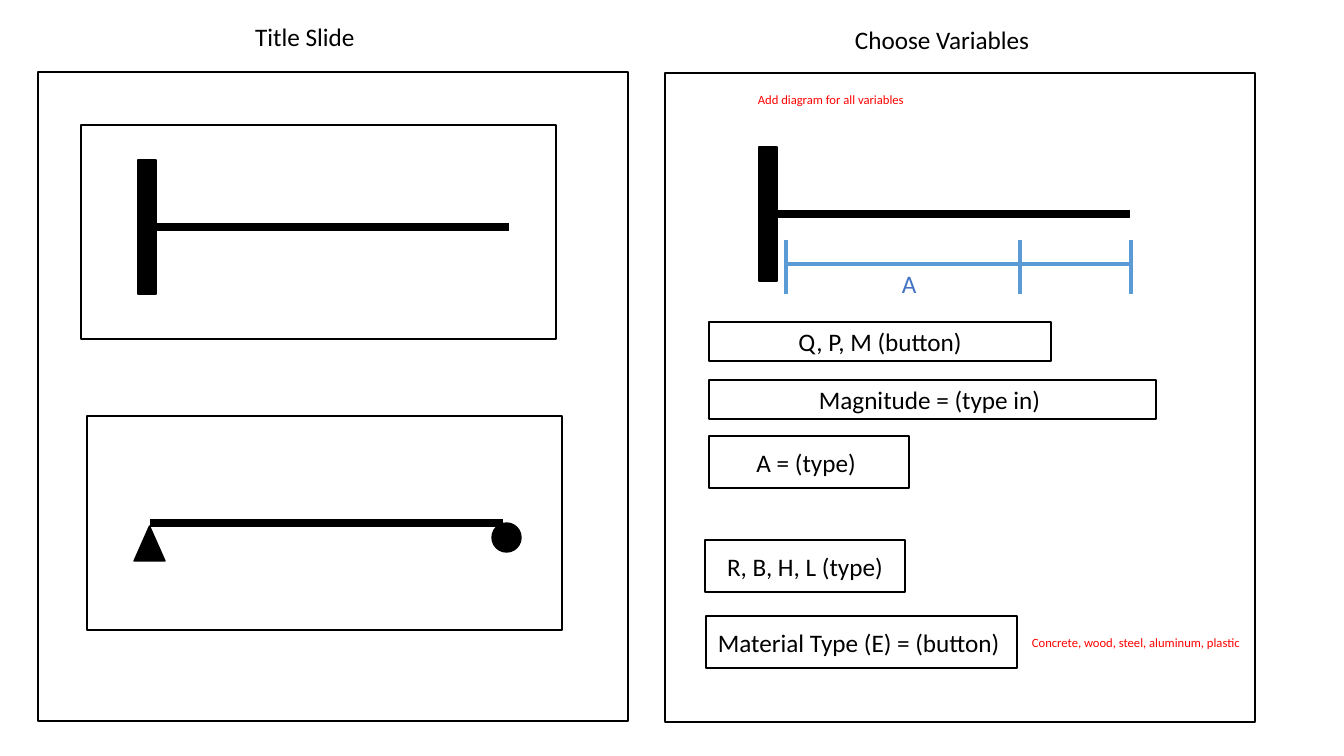
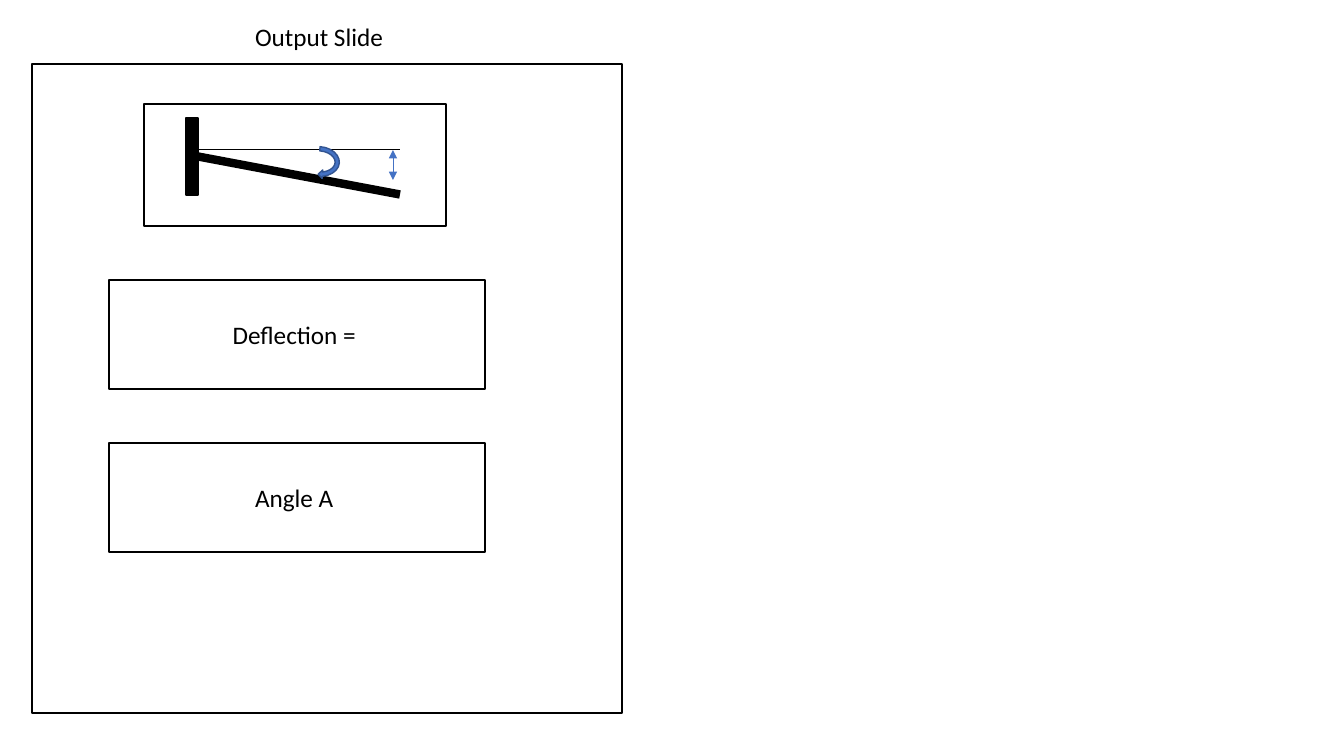
from lxml import etree
from pptx import Presentation
from pptx.dml.color import RGBColor
from pptx.enum.shapes import MSO_CONNECTOR, MSO_SHAPE
from pptx.enum.text import MSO_ANCHOR, MSO_AUTO_SIZE, PP_ALIGN
from pptx.oxml.ns import qn
from pptx.util import Emu, Pt

RECTANGLE = MSO_SHAPE.RECTANGLE
TRIANGLE = MSO_SHAPE.ISOSCELES_TRIANGLE
OVAL = MSO_SHAPE.OVAL
CIRCULAR_ARROW = MSO_SHAPE.CIRCULAR_ARROW
STRAIGHT = MSO_CONNECTOR.STRAIGHT
LEFT, CENTER = PP_ALIGN.LEFT, PP_ALIGN.CENTER
TOP, MIDDLE = MSO_ANCHOR.TOP, MSO_ANCHOR.MIDDLE
NO_FIT = MSO_AUTO_SIZE.NONE

SLIDE_WIDTH, SLIDE_HEIGHT = 1344, 756
PIXELS_PER_INCH = 100.8
TITLE_ONLY = 5
FONT = "Calibri"
BLACK, WHITE, RED = "000000", "FFFFFF", "FF0000"
BLUE, DARK_BLUE, LIGHT_BLUE = "4472C4", "325491", "5B9BD5"
PANEL_SIZE = (590, 649)
HEADING_SIZE = (310, 40)
FRAME_SIZE = (475, 214)
WALL_SIZE = (18, 134)
SPAN = 353
BEAM_WEIGHT = 6


def px(length):
    return Emu(round(length * 914400 / PIXELS_PER_INCH))


def color(value):
    return RGBColor.from_string(value)


def write(shape, text, size=18, ink=BLACK, align=LEFT, anchor=TOP):
    frame = shape.text_frame
    frame.word_wrap = True
    frame.auto_size = NO_FIT
    frame.vertical_anchor = anchor
    paragraph = frame.paragraphs[0]
    paragraph.alignment = align
    run = paragraph.add_run()
    run.text = text
    run.font.name = FONT
    run.font.size = Pt(size)
    run.font.color.rgb = color(ink)


def add_label(slide, left, top, width, height, text, **text_format):
    label = slide.shapes.add_textbox(px(left), px(top), px(width), px(height))
    write(label, text, **text_format)


def add_form(slide, left, top, width, height, kind=RECTANGLE, fill=WHITE, outline=BLACK):
    shape = slide.shapes.add_shape(kind, px(left), px(top), px(width), px(height))
    shape.shadow.inherit = False
    shape.fill.solid()
    shape.fill.fore_color.rgb = color(fill)
    shape.line.color.rgb = color(outline)
    shape.line.width = Pt(1)
    return shape


def add_field(slide, left, top, width, height, text):
    field = add_form(slide, left, top, width, height)
    write(field, text, align=CENTER, anchor=MIDDLE)


def add_line(slide, start, end, ink=BLACK, weight=1, arrows=False):
    line = slide.shapes.add_connector(STRAIGHT, px(start[0]), px(start[1]), px(end[0]), px(end[1]))
    line.line.color.rgb = color(ink)
    line.line.width = Pt(weight)
    if arrows:
        outline = line.line._get_or_add_ln()
        for tag in ("a:headEnd", "a:tailEnd"):
            etree.SubElement(outline, qn(tag), type="triangle")
    etree.SubElement(line._element.spPr, qn("a:effectLst"))


def add_title(slide, left, top, text):
    title = slide.shapes.title
    title.left, title.top = px(left), px(top)
    title.width, title.height = map(px, HEADING_SIZE)
    write(title, text)


def add_cantilever(slide, left, top, wall=WALL_SIZE, span=SPAN, drop=0):
    width, height = wall
    add_form(slide, left, top, width, height, fill=BLACK)
    root, middle = left + width, top + height / 2
    add_line(slide, (root, middle), (root + span, middle + drop), weight=BEAM_WEIGHT)


def add_supported_beam(slide, left, top):
    add_line(slide, (left, top), (left + SPAN, top), weight=BEAM_WEIGHT)
    add_form(slide, left - 16, top + 3, 31, 35, kind=TRIANGLE, fill=BLACK)
    add_form(slide, left + SPAN - 11, top, 29, 29, kind=OVAL, fill=BLACK)


def add_dimension(slide, left, top):
    ticks = [left, left + 234, left + 345]
    for tick in ticks:
        add_line(slide, (tick, top), (tick, top + 54), ink=LIGHT_BLUE, weight=3)
    add_line(slide, (ticks[-1], top + 24), (ticks[0], top + 24), ink=LIGHT_BLUE, weight=3)
    add_label(slide, left + 106, top + 23, 32, 40, "A", ink=BLUE)


def add_beam_menu(slide, left, top):
    add_title(slide, left + 207, top - 56, "Title Slide")
    add_form(slide, left, top, *PANEL_SIZE)
    add_form(slide, left + 43, top + 53, *FRAME_SIZE)
    add_cantilever(slide, left + 100, top + 88)
    add_form(slide, left + 49, top + 344, *FRAME_SIZE)
    add_supported_beam(slide, left + 112, top + 451)


def add_variables(slide, left, top):
    add_label(slide, left + 180, top - 54, *HEADING_SIZE, "Choose Variables")
    add_form(slide, left, top, *PANEL_SIZE)
    add_cantilever(slide, left + 94, top + 74)
    add_dimension(slide, left + 121, top + 167)
    fields = [
        (44, 249, 342, 39, "Q, P, M (button)"),
        (44, 307, 447, 39, "Magnitude = (type in) "),
        (44, 363, 200, 52, "A = (type) "),
        (40, 467, 200, 52, "R, B, H, L (type)"),
        (41, 543, 311, 52, "Material Type (E) = (button) "),
    ]
    for x, y, width, height, text in fields:
        add_field(slide, left + x, top + y, width, height, text)
    notes = [
        (83, 14, 228, "Add diagram for all variables"),
        (357, 557, 273, "Concrete, wood, steel, aluminum, plastic"),
    ]
    for x, y, width, text in notes:
        add_label(slide, left + x, top + y, width, 25, text, size=9, ink=RED)


def add_deflected_beam(slide, left, top):
    add_form(slide, left, top, 302, 122)
    add_cantilever(slide, left + 42, top + 14, wall=(12, 77), span=202, drop=38)
    add_line(slide, (left + 52, top + 45), (left + 256, top + 45), weight=0.5)
    angle = add_form(slide, left + 158, top + 35, 34, 45,
                     kind=CIRCULAR_ARROW, fill=BLUE, outline=DARK_BLUE)
    angle.rotation = 94
    add_line(slide, (left + 249, top + 46), (left + 249, top + 76),
             ink=BLUE, weight=0.5, arrows=True)


def add_output(slide, left, top):
    add_title(slide, left + 213, top - 48, "Output Slide")
    add_form(slide, left, top, *PANEL_SIZE)
    add_deflected_beam(slide, left + 112, top + 40)
    for row, text in enumerate(["Deflection = ", "Angle A "]):
        add_field(slide, left + 77, top + 216 + 163 * row, 376, 109, text)


def main():
    presentation = Presentation()
    presentation.slide_width = px(SLIDE_WIDTH)
    presentation.slide_height = px(SLIDE_HEIGHT)
    layout = presentation.slide_layouts[TITLE_ONLY]
    input_slide = presentation.slides.add_slide(layout)
    add_beam_menu(input_slide, 38, 72)
    add_variables(input_slide, 665, 73)
    output_slide = presentation.slides.add_slide(layout)
    add_output(output_slide, 32, 64)
    presentation.save("out.pptx")


main()
